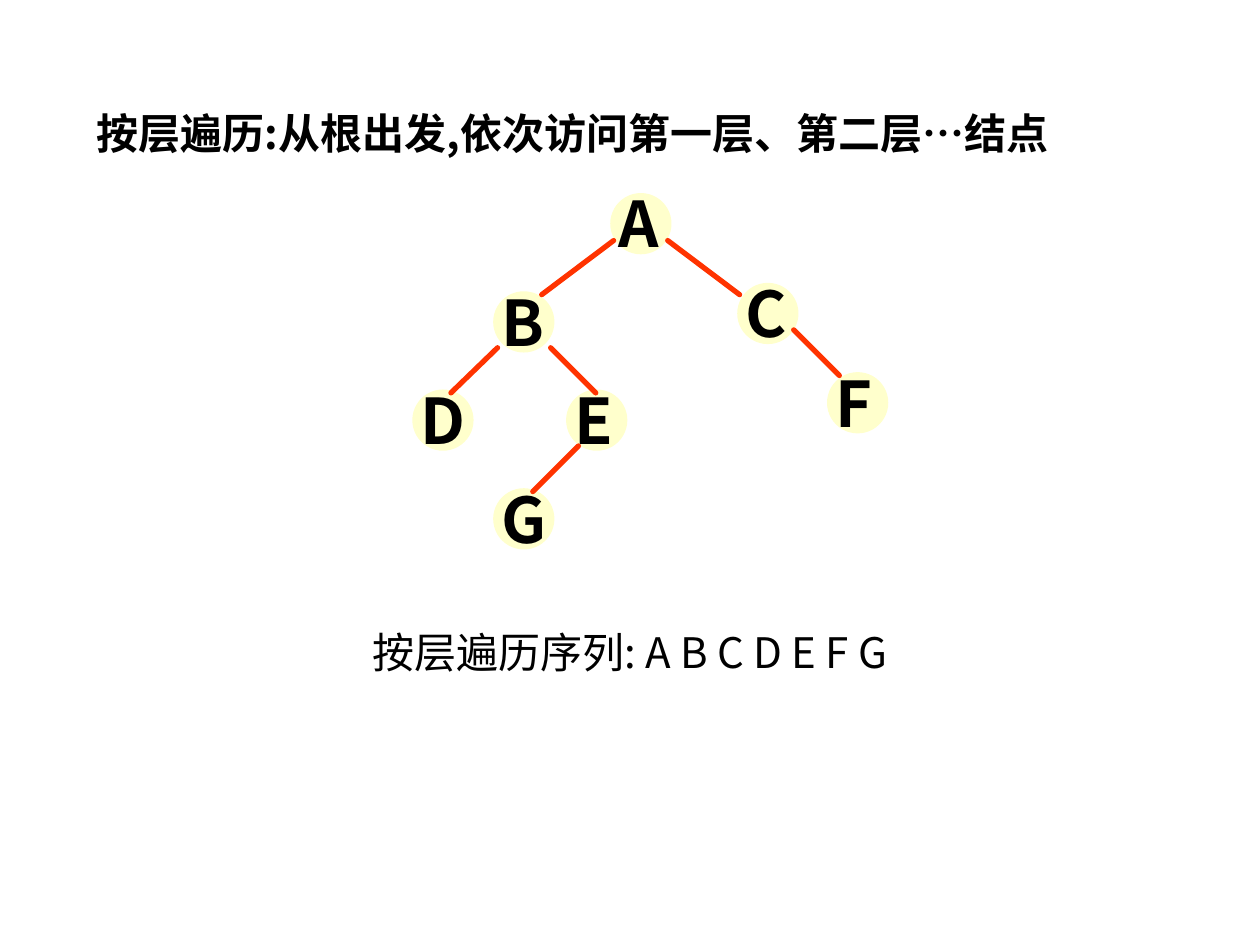
"""Build a slide on level-order traversal of a binary tree."""
from lxml import etree
from pptx import Presentation
from pptx.dml.color import RGBColor
from pptx.enum.shapes import MSO_CONNECTOR, MSO_SHAPE
from pptx.enum.text import MSO_ANCHOR, MSO_AUTO_SIZE, PP_ALIGN
from pptx.oxml.ns import qn
from pptx.util import Cm, Pt

LINE = MSO_CONNECTOR.STRAIGHT
OVAL = MSO_SHAPE.OVAL
TOP = MSO_ANCHOR.TOP
FIXED = MSO_AUTO_SIZE.NONE
LEFT = PP_ALIGN.LEFT
CENTER = PP_ALIGN.CENTER

FONT = "Noto Sans CJK SC"
BLACK = RGBColor(0x00, 0x00, 0x00)
CREAM = RGBColor(0xFF, 0xFF, 0xCC)
RED = RGBColor(0xFF, 0x33, 0x00)


def write(shape, text, size, bold, align, inset=0.25):
    frame = shape.text_frame
    frame.word_wrap = True
    frame.auto_size = FIXED
    frame.vertical_anchor = TOP
    frame.margin_left, frame.margin_right = Cm(inset), Cm(0.25)
    frame.margin_top = frame.margin_bottom = Cm(0.13)
    para = frame.paragraphs[0]
    para.alignment = align
    para.space_before = Pt(0)
    run = para.add_run()
    run.text = text
    font = run.font
    font.size, font.bold, font.name = Pt(size), bold, FONT
    font.color.rgb = BLACK
    etree.SubElement(font._element, qn("a:ea"), typeface=FONT)


deck = Presentation()
deck.slide_width, deck.slide_height = Cm(25.4), Cm(19.05)
slide = deck.slides.add_slide(deck.slide_layouts[5])
shapes = slide.shapes

title = shapes.title
title.left, title.top = Cm(1.7), Cm(2.03)
title.width, title.height = Cm(23.7), Cm(1.27)
write(title, "按层遍历:从根出发,依次访问第一层、第二层…结点", 24, True, LEFT)

nodes = [
    ("A", 12.32, 3.91),
    ("B", 9.96, 5.89),
    ("C", 14.88, 5.72),
    ("D", 8.33, 7.87),
    ("E", 11.43, 7.87),
    ("F", 16.69, 7.52),
    ("G", 9.96, 9.86),
]
for name, x, y in nodes:
    disc = shapes.add_shape(OVAL, Cm(x), Cm(y), Cm(1.2), Cm(1.2))
    disc.shadow.inherit = False
    disc.fill.solid()
    disc.fill.fore_color.rgb = CREAM
    disc.line.color.rgb = CREAM
    disc.line.width = Pt(1)
    label = shapes.add_textbox(Cm(x - 0.31), Cm(y - 0.31), Cm(2.18), Cm(1.78))
    write(label, name, 36, True, LEFT, 0.46)

edges = [
    (12.37, 4.85, 10.92, 5.94),
    (13.46, 4.85, 14.91, 5.94),
    (10.03, 7.01, 9.09, 7.92),
    (11.1, 7.01, 12.01, 7.92),
    (16, 6.65, 16.92, 7.57),
    (11.66, 8.99, 10.74, 9.91),
]
for edge in edges:
    link = shapes.add_connector(LINE, *map(Cm, edge))
    link.line.color.rgb = RED
    link.line.width = Pt(3)
    props = link._element.spPr
    props.find(qn("a:ln")).set("cap", "rnd")
    etree.SubElement(props, qn("a:effectLst"))

order = shapes.add_textbox(Cm(0), Cm(12.5), Cm(25.4), Cm(1.27))
write(order, "按层遍历序列: A B C D E F G", 24, False, CENTER)

deck.save("out.pptx")
